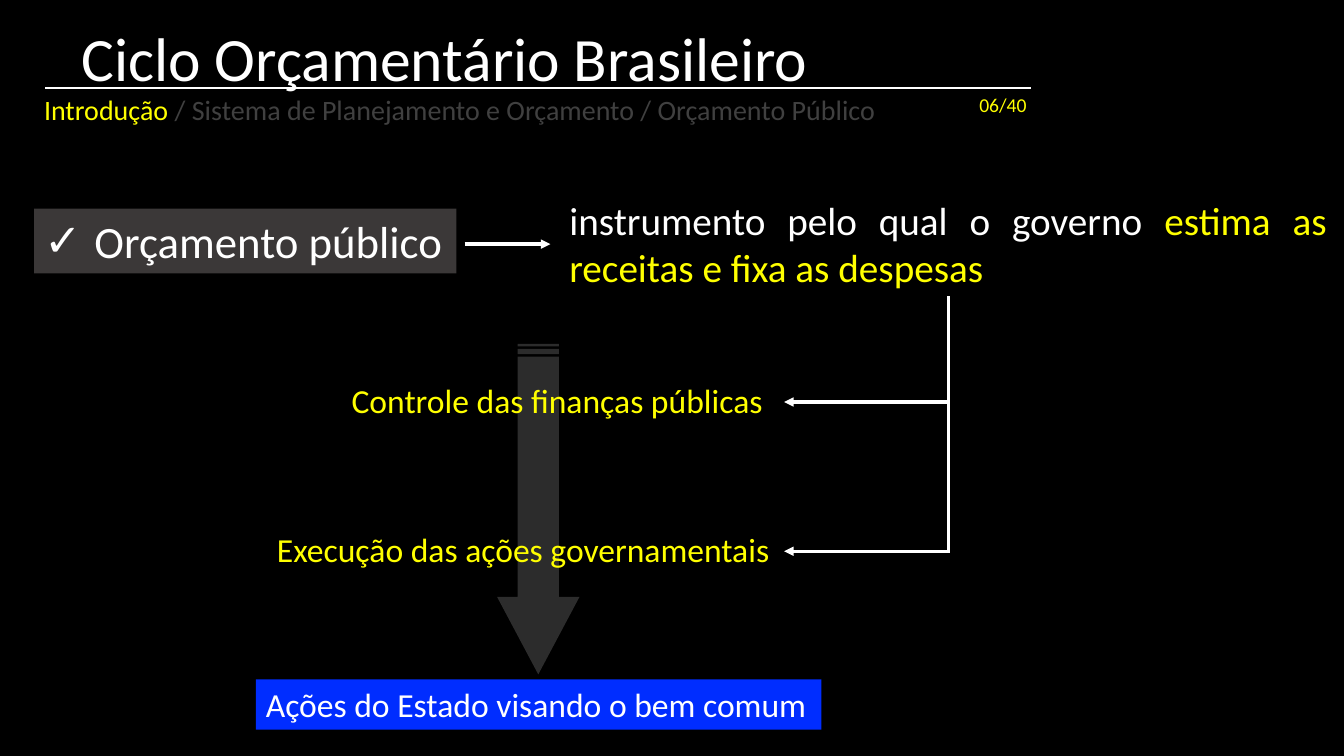
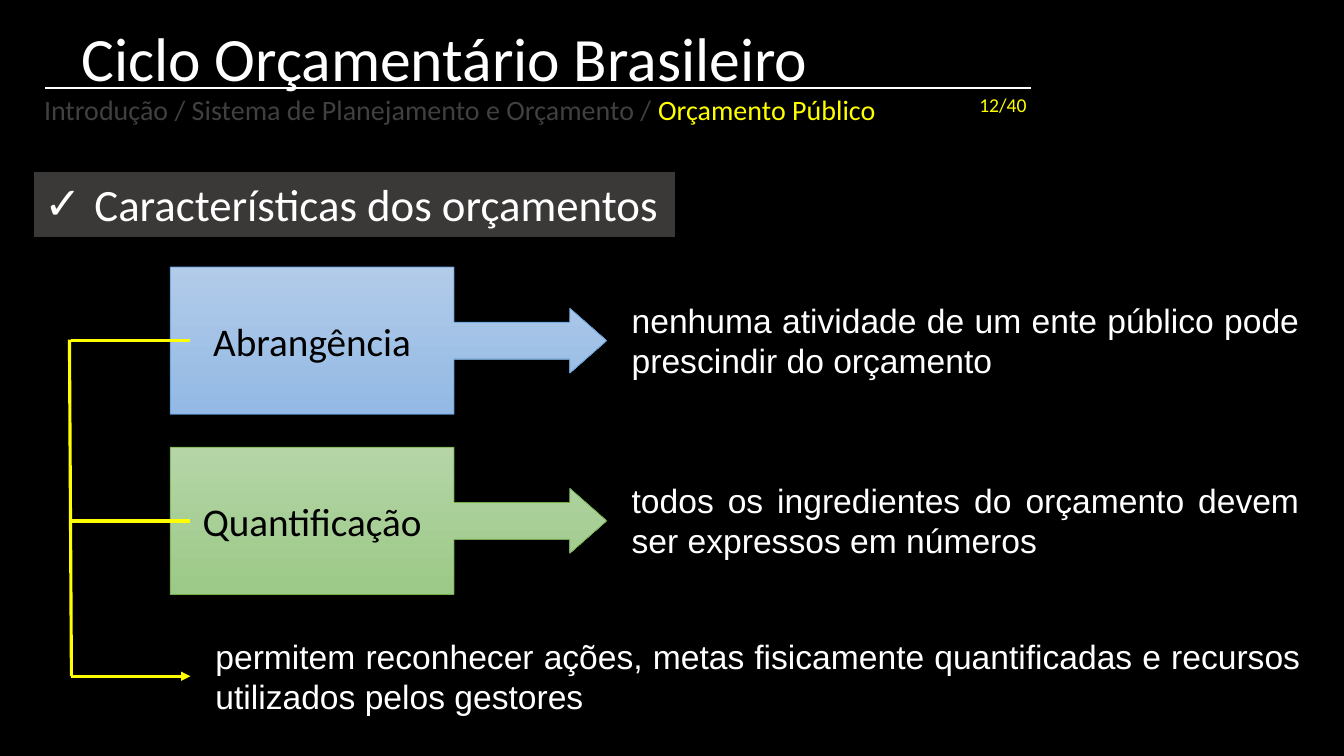
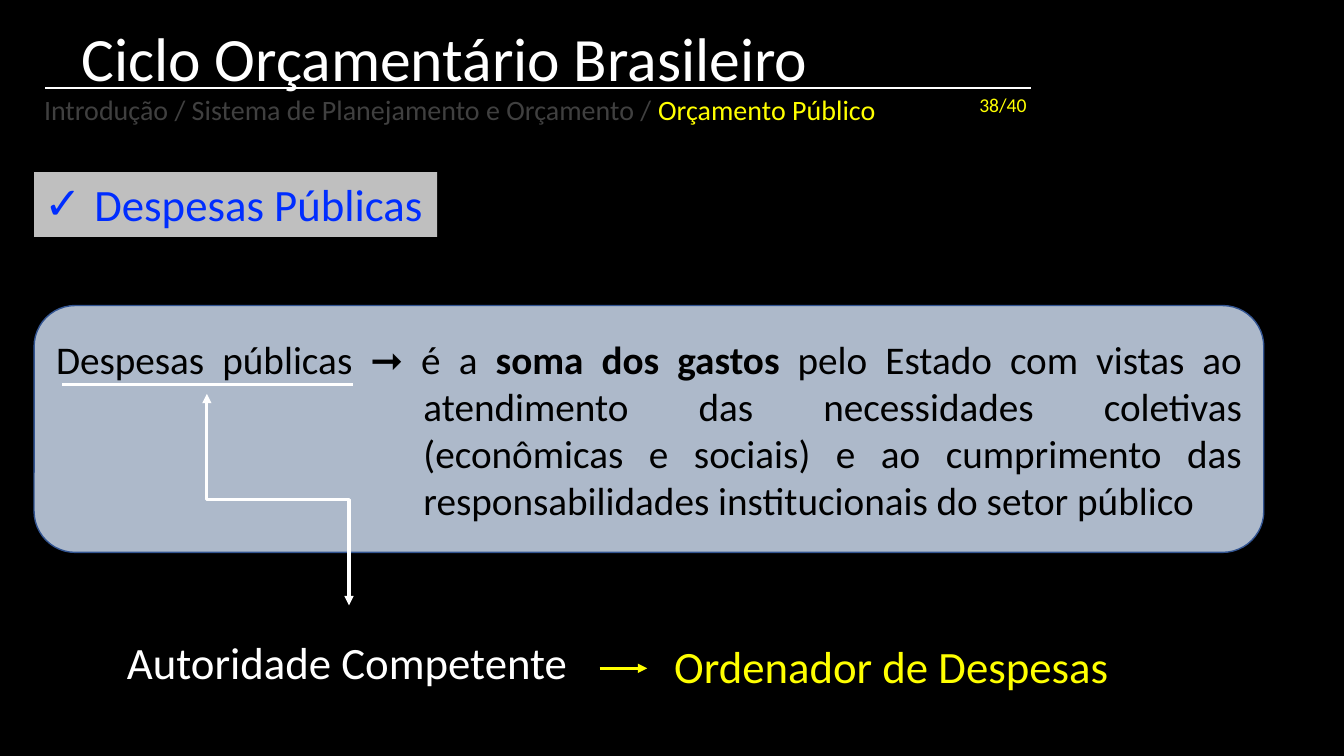
from pptx import Presentation
from pptx.dml.color import RGBColor
from pptx.enum.shapes import MSO_CONNECTOR, MSO_SHAPE
from pptx.enum.text import MSO_ANCHOR, MSO_AUTO_SIZE, PP_ALIGN
from pptx.oxml.ns import qn
from pptx.util import Cm, Pt
from lxml import etree

BLACK = RGBColor(0x00, 0x00, 0x00)
WHITE = RGBColor(0xFF, 0xFF, 0xFF)
YELLOW = RGBColor(0xFF, 0xFF, 0x00)
BLUE = RGBColor(0x00, 0x2D, 0xFF)
DIM = RGBColor(0x40, 0x40, 0x40)
DARK = RGBColor(0x3B, 0x38, 0x38)
GREY = RGBColor(0x59, 0x59, 0x59)
SILVER = RGBColor(0xBF, 0xBF, 0xBF)
STEEL = RGBColor(0xAD, 0xB9, 0xCA)
NAVY = RGBColor(0x32, 0x54, 0x91)
SKY = [RGBColor(0xB1, 0xCB, 0xE9), RGBColor(0x93, 0xB9, 0xE4)]
SKY_EDGE = RGBColor(0x5B, 0x9B, 0xD5)
LEAF = [RGBColor(0xB5, 0xD5, 0xA7), RGBColor(0x9C, 0xC9, 0x87)]
LEAF_EDGE = RGBColor(0x70, 0xAD, 0x47)

LEFT, CENTER, JUSTIFY = PP_ALIGN.LEFT, PP_ALIGN.CENTER, PP_ALIGN.JUSTIFY
TOP, MIDDLE = MSO_ANCHOR.TOP, MSO_ANCHOR.MIDDLE
GROW, FIXED = MSO_AUTO_SIZE.SHAPE_TO_FIT_TEXT, MSO_AUTO_SIZE.NONE
RECT, ROUND = MSO_SHAPE.RECTANGLE, MSO_SHAPE.ROUNDED_RECTANGLE
STRIPED = MSO_SHAPE.STRIPED_RIGHT_ARROW
CALLOUT = MSO_SHAPE.RIGHT_ARROW_CALLOUT
STRAIGHT, ELBOW = MSO_CONNECTOR.STRAIGHT, MSO_CONNECTOR.ELBOW

TITLE = "Ciclo Orçamentário Brasileiro"
PARTS = ("Introdução", "Sistema de Planejamento e Orçamento", "Orçamento Público")
EDGE = 0.86


def write(frame, text, size=24, color=WHITE, font="Calibri", align=LEFT,
          anchor=TOP, wrap=True, fit=GROW, hang=0, mark=None):
    frame.word_wrap = wrap
    frame.auto_size = fit
    frame.vertical_anchor = anchor
    para = frame.paragraphs[0]
    para.alignment = align
    if hang:
        props = para._p.get_or_add_pPr()
        props.set("marL", str(Cm(hang)))
        props.set("indent", str(-Cm(hang)))
        if mark:
            etree.SubElement(props, qn("a:buFont")).set("typeface", "Arial")
            etree.SubElement(props, qn("a:buChar")).set("char", mark)
    runs = [(text, color, False)] if isinstance(text, str) else text
    for words, tint, bold in runs:
        run = para.add_run()
        run.text = words
        run.font.name = font
        run.font.size = Pt(size)
        run.font.bold = bold
        run.font.color.rgb = tint


class Deck:
    def __init__(self):
        self.prs = Presentation()
        self.prs.slide_width = Cm(33.87)
        self.prs.slide_height = Cm(19.05)
        back = self.prs.slide_master.background.fill
        back.solid()
        back.fore_color.rgb = BLACK
        self.slide = None

    def start(self, page, part):
        self.slide = self.prs.slides.add_slide(self.prs.slide_layouts[6])
        self.text(1.8, 0.36, 23.24, 2.13, TITLE, size=44, anchor=MIDDLE)
        self.line(1.14, 2.21, 25.98, 2.21, width=1.5)
        trail = []
        for i, name in enumerate(PARTS):
            if i:
                trail.append((" / ", DIM, False))
            trail.append((name, YELLOW if name == part else DIM, False))
        self.text(EDGE, 2.21, 21.67, 1.12, trail, size=20, wrap=False)
        self.text(24.43, 2.21, 1.73, 0.86, f"{page:02}/40", size=14,
                  color=YELLOW, wrap=False)

    def text(self, x, y, w, h, text, **style):
        box = self.slide.shapes.add_textbox(Cm(x), Cm(y), Cm(w), Cm(h))
        write(box.text_frame, text, **style)

    def shape(self, kind, x, y, w, h, fill, edge=None, width=1, adjust=()):
        item = self.slide.shapes.add_shape(kind, Cm(x), Cm(y), Cm(w), Cm(h))
        item.shadow.inherit = False
        if isinstance(fill, list):
            item.fill.gradient()
            item.fill.gradient_angle = 270
            for i, stop in enumerate(item.fill.gradient_stops):
                stop.color.rgb = fill[i]
                stop.position = i
        else:
            item.fill.solid()
            item.fill.fore_color.rgb = fill
        if edge:
            item.line.color.rgb = edge
            item.line.width = Pt(width)
        else:
            item.line.fill.background()
        for i, value in enumerate(adjust):
            item.adjustments[i] = value
        return item

    def topic(self, y, w, text, fill=DARK, color=WHITE):
        chip = self.shape(RECT, EDGE, y, w, 1.63, fill)
        write(chip.text_frame, text, size=32, color=color, wrap=False,
              hang=1.27, mark="✓")

    def line(self, x1, y1, x2, y2, color=WHITE, width=2.25, ends=(),
             kind=STRAIGHT, turn=0):
        link = self.slide.shapes.add_connector(kind, Cm(x1), Cm(y1), Cm(x2), Cm(y2))
        link.line.color.rgb = color
        link.line.width = Pt(width)
        props = link._element.spPr
        for end in ends:
            etree.SubElement(props.get_or_add_ln(), qn(f"a:{end}End")).set("type", "triangle")
        etree.SubElement(props, qn("a:effectLst"))
        if turn:
            props.find(qn("a:xfrm")).set("rot", str(turn * 60000))

    def arrow(self, x1, y1, x2, y2, color=WHITE):
        self.line(x1, y1, x2, y2, color=color, ends=("tail",))


def budget(deck):
    deck.start(6, PARTS[0])
    shaft = deck.shape(STRIPED, 9.4, 11.79, 8.33, 2.08, GREY, adjust=(0.5, 0.94))
    shaft.rotation = 90
    tint = shaft._element.spPr.find(qn("a:solidFill"))[0]
    etree.SubElement(tint, qn("a:alpha")).set("val", "50000")
    deck.topic(5.26, 10.64, "Orçamento público")
    deck.arrow(11.71, 6.15, 13.87, 6.15)
    deck.text(14.1, 4.83, 19.58, 2.64, [
        ("instrumento pelo qual o governo ", WHITE, False),
        ("estima as receitas e fixa as despesas", YELLOW, False),
    ], size=28, align=JUSTIFY)
    trunk, tip, last = 23.9, 19.76, 7.47
    for y, w, text in (
        (10.13, 11.15, "Controle das finanças públicas"),
        (13.89, 13.03, "Execução das ações governamentais"),
    ):
        deck.line(trunk, last, trunk, y)
        deck.arrow(trunk + 0.03, y, tip, y)
        deck.text(tip - w, y - 0.68, w, 1.27, text, color=YELLOW)
        last = y
    goal = deck.shape(RECT, 6.45, 17.12, 14.25, 1.27, BLUE)
    write(goal.text_frame, "Ações do Estado visando o bem comum")


def traits(deck):
    deck.start(12, PARTS[2])
    deck.topic(4.34, 16.15, "Características dos orçamentos")
    rows = (
        ("Abrangência", SKY, SKY_EDGE,
         "nenhuma atividade de um ente público pode prescindir do orçamento"),
        ("Quantificação", LEAF, LEAF_EDGE,
         "todos os ingredientes do orçamento devem ser expressos em números"),
    )
    prose = dict(font="Arial", align=JUSTIFY)
    for i, (name, fill, edge, text) in enumerate(rows):
        y = 6.73 + 4.54 * i
        box = deck.shape(CALLOUT, 4.29, y, 11, 3.71, fill, edge, 0.5,
                         (0.25, 0.22, 0.25, 0.65))
        write(box.text_frame, name, size=28, color=BLACK, align=CENTER,
              anchor=MIDDLE, fit=FIXED)
        deck.text(15.67, y + 0.7, 17.32, 2.31, text, **prose)
        deck.line(4.8, y + 1.86, 1.8, y + 1.86, color=YELLOW)
    deck.line(1.75, 8.56, 1.8, 17.04, color=YELLOW)
    deck.arrow(1.8, 17.04, 4.8, 17.04, color=YELLOW)
    deck.text(5.18, 15.9, 27.84, 2.31,
              "permitem reconhecer ações, metas fisicamente quantificadas e "
              "recursos utilizados pelos gestores", **prose)


def spending(deck):
    deck.start(38, PARTS[2])
    deck.topic(4.34, 10.16, "Despesas Públicas", fill=SILVER, color=BLUE)
    panel = deck.shape(ROUND, EDGE, 7.7, 30.99, 6.22, STEEL, NAVY)
    write(panel.text_frame, [
        ("Despesas públicas ➞ é a ", BLACK, False),
        ("soma dos gastos ", BLACK, True),
        ("pelo Estado com vistas ao atendimento das necessidades coletivas "
         "(econômicas e sociais) e ao cumprimento das responsabilidades "
         "institucionais do setor público", BLACK, False),
    ], size=28, align=JUSTIFY, anchor=MIDDLE, fit=FIXED, hang=9.26)
    deck.line(9.67, 10.8, 4.34, 14.38, ends=("head", "tail"), kind=ELBOW, turn=270)
    deck.line(1.57, 9.7, 8.89, 9.7)
    deck.text(2.95, 15.88, 11.73, 1.63, "Autoridade Competente", size=32, wrap=False)
    deck.arrow(15.11, 16.84, 16.31, 16.84, color=YELLOW)
    deck.text(16.74, 15.98, 11.56, 1.63, "Ordenador de Despesas", size=32,
              color=YELLOW, wrap=False)


def main():
    deck = Deck()
    budget(deck)
    traits(deck)
    spending(deck)
    deck.prs.save("out.pptx")


if __name__ == "__main__":
    main()
